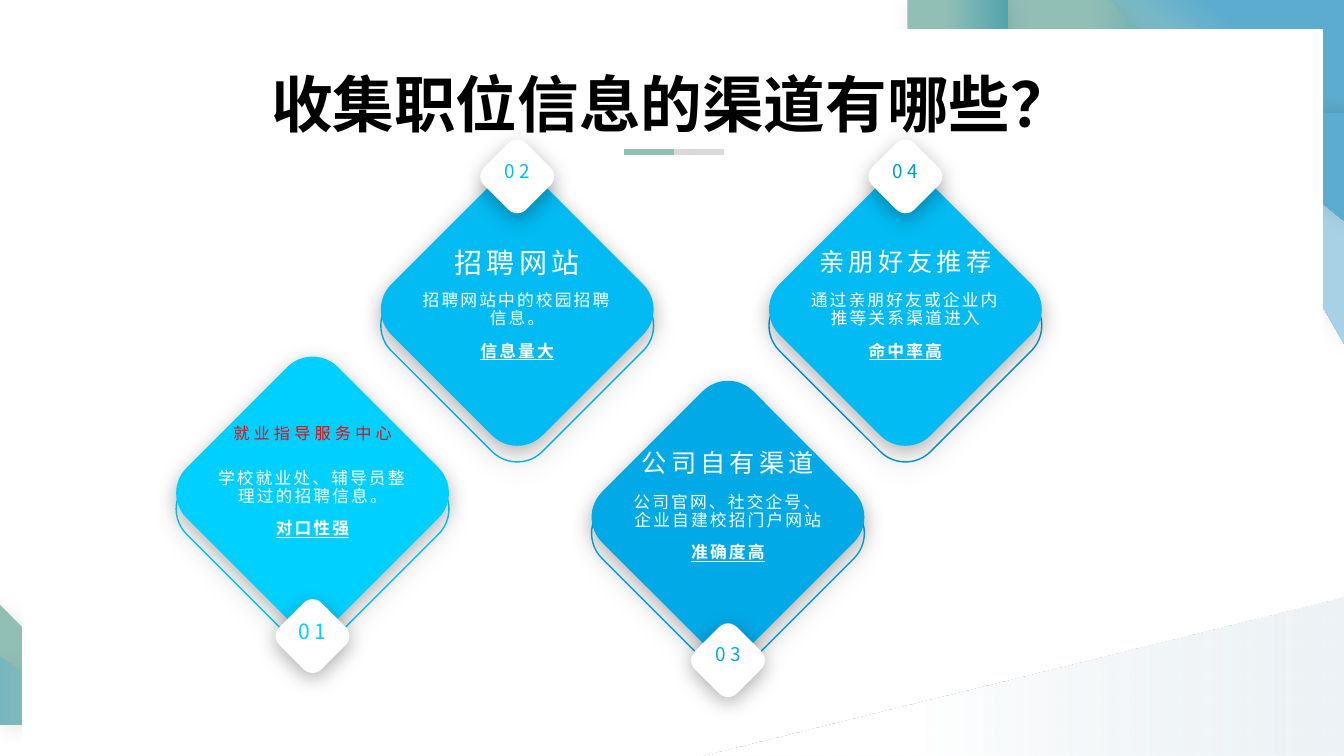
import pptx
import pptx.dml.color
import pptx.enum.shapes
import pptx.enum.text
import pptx.oxml
import pptx.oxml.ns
import pptx.util

Inches = pptx.util.Inches
Pt = pptx.util.Pt
SHAPE = pptx.enum.shapes.MSO_SHAPE
qn = pptx.oxml.ns.qn

COLORS = {
    "black": "000000", "white": "FFFFFF", "red": "FF0000", "grey": "D9D9D9",
    "cyan": "00D0FF", "sky": "02BBF3", "azure": "01A9E7", "blue": "0097DB",
    "sage": "92BFB5", "teal": "52A4AE", "mist": "77B6BF", "mint": "B6D3B7",
    "ocean": "5CACCF", "ice": "A7D2E5", "haze": "E1EAEF",
}
CJK = "Noto Sans CJK SC"
TITLE = "收集职位信息的渠道有哪些？"

# number, number size, centre x, centre y, side of the badge, fill, outline,
# heading, heading size, heading colour, body, strong point
CARDS = [
    ("01", 15, 3.1, 4.89, "below", "cyan", "cyan", "就业指导服务中心", 11.5, "red",
     "学校就业处、辅导员整理过的招聘信息。", "对口性强"),
    ("02", 13.5, 5.13, 3.07, "above", "sky", "sky", "招聘网站", 20, "white",
     "招聘网站中的校园招聘信息。", "信息量大"),
    ("03", 13.5, 7.22, 5.13, "below", "azure", "azure", "公司自有渠道", 18, "white",
     "公司官网、社交企号、企业自建校招门户网站", "准确度高"),
    ("04", 13.5, 8.98, 3.07, "above", "sky", "blue", "亲朋好友推荐", 18, "white",
     "通过亲朋好友或企业内推等关系渠道进入", "命中率高"),
]
# badge offset, heading top and body top, measured from the card's centre
LAYOUT = {"above": (-1.32, -0.63, -0.17), "below": (1.42, -0.69, -0.23)}
DIAMOND, BADGE, OUTLINE_DROP = 2.12, 0.59, 0.16

# outline points or (box, flip), gradient stops, gradient angle
FACETS = [
    ([(1.21, 7.18), (0.29, 5.93), (0, 5.94), (0, 7.18)],
     [(37, "sage"), (76, "teal")], 20),
    (((0, 6.52, 1.02, 0.67), "flipH"), [(45, "sage"), (100, "mist")], 0),
    (((10.85, 0, 2.48, 2.43), "flipV"), [(31, "mint"), (75, "ocean")], 50),
    (((12.01, 1.12, 1.32, 2.29), "flipV"), [(0, "sage"), (63, "ice")], 0),
    (((12.01, 1.12, 1.32, 1.07), "flipV"), [(0, "sage"), (65, "ocean")], 0),
    ([(10.19, 2.49), (10.26, 0), (10.83, 0), (12.04, 1.15)],
     [(40, "sage"), (93, "teal")], 0),
    ([(10.19, 2.5), (8.59, 0.67), (9.45, 0), (10.29, 0)],
     [(37, "sage"), (100, "teal")], 0),
]
FACET_SHADOW = (10, 3, 45)
CARD_SHADOW = (29, 4, 90)

prs = pptx.Presentation()
prs.slide_width, prs.slide_height = Inches(13.33), Inches(7.5)
s = prs.slides.add_slide(prs.slide_layouts[5])


def rgb(name):
    return pptx.dml.color.RGBColor.from_string(COLORS[name])


def add_shadow(sp, opacity, distance, angle):
    sp.shadow.inherit = False
    effects = sp.element.spPr.find(qn("a:effectLst"))
    effects.append(pptx.oxml.parse_xml(
        f'<a:outerShdw {pptx.oxml.ns.nsdecls("a")} blurRad="{Pt(15)}" dist="{Pt(distance)}" '
        f'dir="{angle * 60000}" algn="ctr" rotWithShape="0"><a:srgbClr val="{COLORS["black"]}">'
        f'<a:alpha val="{opacity * 1000}"/></a:srgbClr></a:outerShdw>'))


def add_block(preset, box, fill=None):
    sp = s.shapes.add_shape(preset, *map(Inches, box))
    sp.shadow.inherit = False
    sp.line.fill.background()
    if fill:
        sp.fill.solid()
        sp.fill.fore_color.rgb = rgb(fill)
    else:
        sp.fill.background()
    return sp


def add_triangle(box, flip=None):
    """Right triangle with its upright side on the right, before any flip."""
    sp = add_block(SHAPE.ISOSCELES_TRIANGLE, box)
    sp.adjustments[0] = 1
    if flip:
        sp.element.spPr.find(qn("a:xfrm")).set(flip, "1")
    return sp


def add_polygon(points):
    builder = s.shapes.build_freeform(*points[0], scale=Inches(1))
    builder.add_line_segments(points[1:], close=True)
    sp = builder.convert_to_shape()
    sp.line.fill.background()
    return sp


def set_gradient(sp, stops, angle):
    """Angle runs clockwise, in degrees."""
    sp.fill.gradient()
    sp.fill.gradient_angle = (360 - angle) % 360
    for stop, (position, color) in zip(sp.fill.gradient_stops, stops):
        stop.position = position / 100
        stop.color.rgb = rgb(color)


def add_diamond(cx, cy, side, fill=None):
    sp = add_block(SHAPE.ROUNDED_RECTANGLE, (cx - side / 2, cy - side / 2, side, side), fill)
    sp.rotation = 45
    add_shadow(sp, *CARD_SHADOW)
    return sp


def add_run(p, text, size, color, font=CJK, spacing=0, bold=False, underline=False):
    p.alignment = pptx.enum.text.PP_ALIGN.CENTER
    r = p.add_run()
    r.text = text
    r.font.name, r.font.size = font, Pt(size)
    r.font.bold, r.font.underline = bold, underline
    r.font.color.rgb = rgb(color)
    rpr = r.font._element
    rpr.set("spc", str(int(spacing * 100)))
    latin = rpr.find(qn("a:latin"))
    latin.addnext(pptx.oxml.parse_xml(
        f'<a:ea {pptx.oxml.ns.nsdecls("a")} typeface="{CJK}"/>'))


def add_label(cx, top, width, height):
    """Text frame without margins, centred on cx."""
    tf = s.shapes.add_textbox(*map(Inches, (cx - width / 2, top, width, height))).text_frame
    tf.word_wrap = True
    tf.margin_left = tf.margin_right = tf.margin_top = tf.margin_bottom = 0
    return tf


def add_card(number, number_size, cx, cy, side, fill, outline,
             heading, heading_size, heading_color, body, point):
    badge_dy, heading_dy, body_dy = LAYOUT[side]
    ring = add_diamond(cx, cy + OUTLINE_DROP, DIAMOND)
    ring.line.color.rgb = rgb(outline)
    ring.line.width = Pt(1)
    add_diamond(cx, cy, DIAMOND, fill)
    add_diamond(cx, cy + badge_dy, BADGE, "white").adjustments[0] = 0.21

    tf = add_label(cx, cy + badge_dy - 0.17, 0.53, 0.34)
    add_run(tf.paragraphs[0], number, number_size, outline, spacing=3)
    tf = add_label(cx, cy + heading_dy, 1.96, 0.37)
    add_run(tf.paragraphs[0], heading, heading_size, heading_color, spacing=3)
    tf = add_label(cx, cy + body_dy, 1.9, 0.84)
    add_run(tf.paragraphs[0], body, 12, "white", spacing=1.5)
    add_run(tf.add_paragraph(), point, 12, "white", spacing=1.5, bold=True, underline=True)
    for p in tf.paragraphs:
        p.line_spacing = 0.9
        p.space_after = Pt(10)


for outline, stops, angle in FACETS:
    sp = add_polygon(outline) if isinstance(outline, list) else add_triangle(*outline)
    set_gradient(sp, stops, angle)
    add_shadow(sp, *FACET_SHADOW)

add_block(SHAPE.RECTANGLE, (0.22, 0.29, 12.9, 7.21), "white")
corner = add_triangle((6.98, 5.93, 6.35, 1.57))
set_gradient(corner, [(0, "haze"), (67, "white")], 180)
haze = next(corner.element.spPr.iter(qn("a:srgbClr")))
haze.append(pptx.oxml.parse_xml(f'<a:alpha {pptx.oxml.ns.nsdecls("a")} val="57000"/>'))

for x, color in ((6.19, "sage"), (6.68, "grey")):
    rule = s.shapes.add_connector(pptx.enum.shapes.MSO_CONNECTOR.STRAIGHT,
                                  *map(Inches, (x, 1.51, x + 0.5, 1.51)))
    rule.line.color.rgb = rgb(color)
    rule.line.width = Pt(4.5)
    rule.element.spPr.append(pptx.oxml.parse_xml(
        f'<a:effectLst {pptx.oxml.ns.nsdecls("a")}/>'))

title = s.shapes.title
title.element.getparent().append(title.element)  # in front of the backdrop
title.left, title.top, title.width, title.height = map(Inches, (2.46, 0.6, 8.41, 0.84))
tf = title.text_frame
tf.auto_size = pptx.enum.text.MSO_AUTO_SIZE.NONE
tf.vertical_anchor = pptx.enum.text.MSO_ANCHOR.MIDDLE
add_run(tf.paragraphs[0], TITLE, 44, "black", font="Calibri", bold=True)

for card in CARDS:
    add_card(*card)

prs.save("out.pptx")
